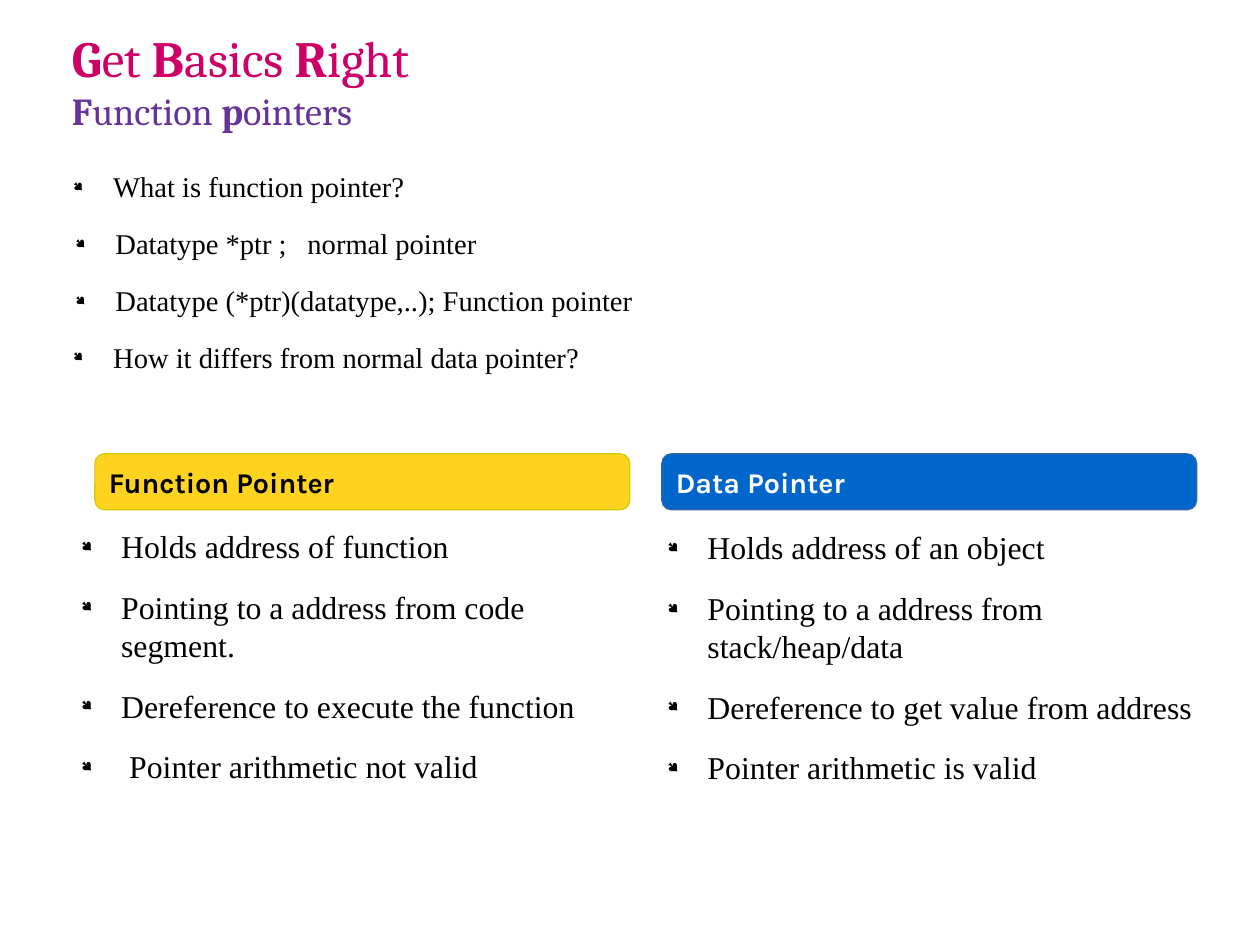
import pptx
import pptx.util
import pptx.dml.color
import pptx.enum.shapes
import pptx.enum.text
import lxml.etree

Inches = pptx.util.Inches
Pt = pptx.util.Pt
RGBColor = pptx.dml.color.RGBColor
MIDDLE = pptx.enum.text.MSO_ANCHOR.MIDDLE
LEFT = pptx.enum.text.PP_ALIGN.LEFT

BLACK = RGBColor(0x00, 0x00, 0x00)
WHITE = RGBColor(0xFF, 0xFF, 0xFF)
PINK = RGBColor(0xCC, 0x00, 0x66)
PURPLE = RGBColor(0x66, 0x33, 0x99)
YELLOW = RGBColor(0xFF, 0xD3, 0x20)
OLIVE = RGBColor(0xCC, 0xCC, 0x00)
BLUE = RGBColor(0x00, 0x66, 0xCC)
STEEL = RGBColor(0x34, 0x65, 0xA4)

NS = "http://schemas.openxmlformats.org/drawingml/2006/main"

deck = pptx.Presentation()
deck.slide_width = Inches(28 / 2.54)
deck.slide_height = Inches(21 / 2.54)
slide = deck.slides.add_slide(deck.slide_layouts[6])


def add_run(para, text, color, style):
    run = para.add_run()
    run.text = text
    run.font.color.rgb = color
    for key, value in style.items():
        setattr(run.font, key, value)


def add_box(left, top, width, height):
    box = slide.shapes.add_textbox(
        Inches(left), Inches(top), Inches(width), Inches(height))
    frame = box.text_frame
    plain = {"margin_left": 0, "margin_top": 0, "margin_right": 0,
             "margin_bottom": 0, "word_wrap": True}
    for key, value in plain.items():
        setattr(frame, key, value)
    return frame


frame = add_box(0.63, 0.01, 9.85, 1.38)
frame.vertical_anchor = MIDDLE
para = frame.paragraphs[0]
heads = [
    (32, PINK, ["G", "et ", "B", "asics ", "R", "ight"]),
    (24, PURPLE, ["F", "unction ", "p", "ointers"]),
]
for row, (size, color, parts) in enumerate(heads):
    if row:
        para.add_line_break()
    for num, part in enumerate(parts):
        style = {"name": "Cambria", "size": Pt(size), "bold": num % 2 == 0}
        add_run(para, part, color, style)

lists = [
    ((0.52, 1.48, 10.02, 2.48), 18, [
        ("What is function pointer?", 0.47, 0.35),
        ("Datatype *ptr ;\tnormal pointer", 0.49, 0.35),
        ("Datatype (*ptr)(datatype,..); Function pointer", 0.49, 0.35),
        ("How it differs from normal data pointer?", 0.47, 0.35)]),
    ((5.72, 4.62, 4.84, 2.67), 20, [
        ("Holds address of an object", 0.47, 0.35),
        ("Pointing to a address from stack/heap/data", 0.47, 0.35),
        ("Dereference to get value from address", 0.47, 0.35),
        ("Pointer arithmetic is valid", 0.47, 0.35)]),
    ((0.59, 4.61, 4.74, 2.67), 20, [
        ("Holds address of function", 0.47, 0.35),
        ("Pointing to a address from code segment.", 0.47, 0.35),
        ("Dereference to execute the function", 0.47, 0.35),
        ("Pointer arithmetic not valid", 0.54, 0.42)]),
]
for place, size, items in lists:
    frame = add_box(*place)
    for num, (text, indent, hang) in enumerate(items):
        para = frame.add_paragraph() if num else frame.paragraphs[0]
        para.space_after = Pt(14.2)
        props = para._p.get_or_add_pPr()
        props.set("marL", str(Inches(indent)))
        props.set("indent", str(-Inches(hang)))
        tint = lxml.etree.SubElement(props, f"{{{NS}}}buClr")
        lxml.etree.SubElement(tint, f"{{{NS}}}srgbClr", val=str(BLACK))
        lxml.etree.SubElement(props, f"{{{NS}}}buSzPct", val="45000")
        lxml.etree.SubElement(
            props, f"{{{NS}}}buFont", typeface="Wingdings", charset="2")
        lxml.etree.SubElement(props, f"{{{NS}}}buChar", char="●")
        if "\t" in text:
            tabs = lxml.etree.SubElement(props, f"{{{NS}}}tabLst")
            lxml.etree.SubElement(
                tabs, f"{{{NS}}}tab", pos=str(Inches(2.17)), algn="l")
        style = {"name": "Times New Roman", "size": Pt(size)}
        add_run(para, text, BLACK, style)

labels = [
    ("Function Pointer", 0.83, YELLOW, OLIVE, BLACK),
    ("Data Pointer", 5.79, BLUE, STEEL, WHITE),
]
for text, left, fill, edge, color in labels:
    label = slide.shapes.add_shape(
        pptx.enum.shapes.MSO_SHAPE.ROUNDED_RECTANGLE,
        Inches(left), Inches(3.97), Inches(4.68), Inches(0.49))
    label.adjustments[0] = 0.17
    label.shadow.inherit = False
    label.fill.solid()
    label.fill.fore_color.rgb = fill
    label.line.color.rgb = edge
    label.line.width = Pt(0)
    frame = label.text_frame
    frame.word_wrap = False
    frame.vertical_anchor = MIDDLE
    para = frame.paragraphs[0]
    para.alignment = LEFT
    add_run(para, text, color, {"name": "Karla", "size": Pt(18), "bold": True})

deck.save("out.pptx")
